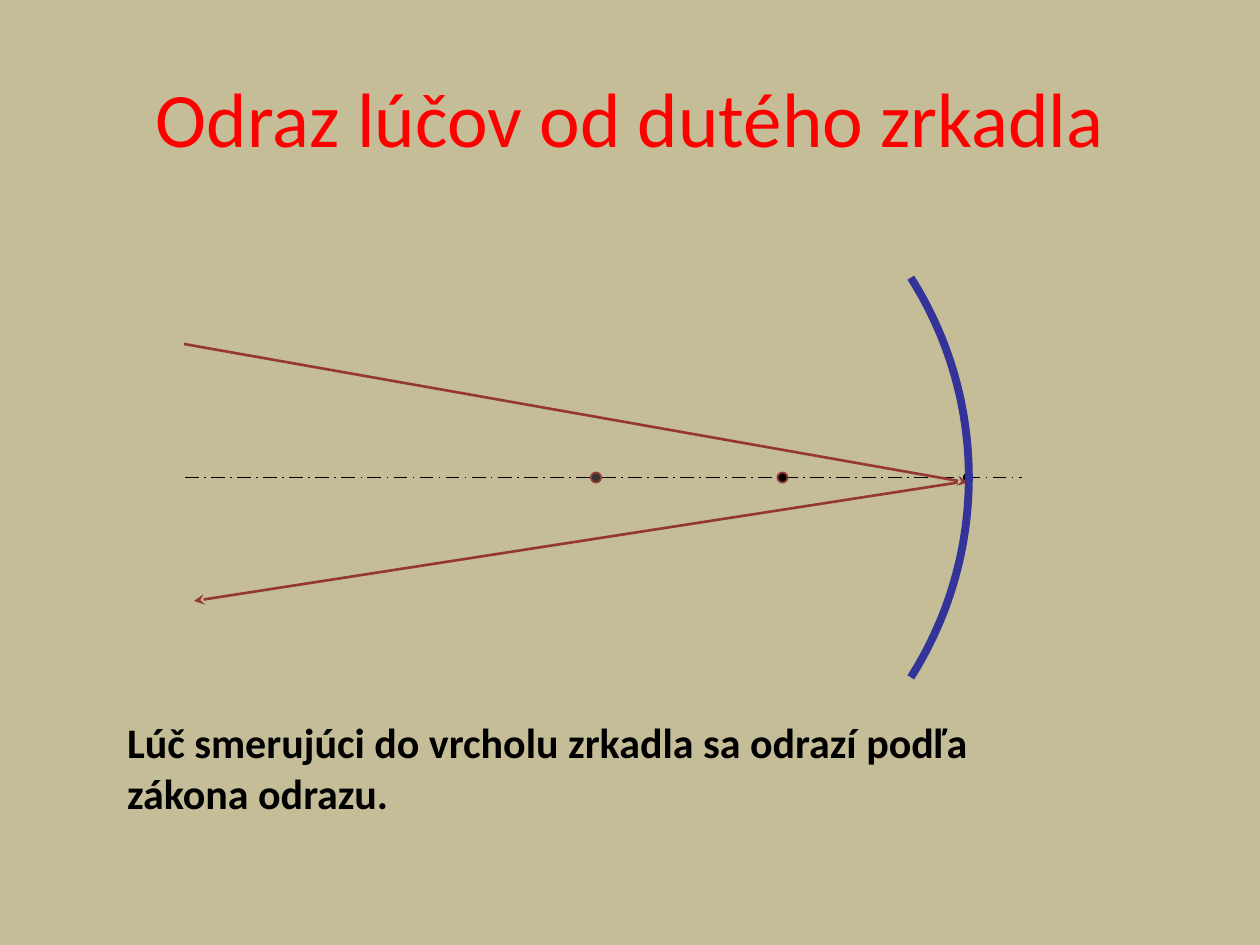
import math
from dataclasses import dataclass
from typing import Optional

import pptx
import pptx.dml.color
import pptx.enum.dml
import pptx.enum.shapes
import pptx.enum.text
import pptx.util
from lxml import etree
from pptx.oxml.ns import qn

Inches = pptx.util.Inches
RGBColor = pptx.dml.color.RGBColor
Anchor = pptx.enum.text.MSO_ANCHOR
Align = pptx.enum.text.PP_ALIGN

SAND = RGBColor(0xC4, 0xBD, 0x97)
RED = RGBColor(0xFF, 0x00, 0x00)
BLACK = RGBColor(0x00, 0x00, 0x00)
CHARCOAL = RGBColor(0x33, 0x33, 0x33)
SILVER = RGBColor(0xC0, 0xC0, 0xC0)
BRICK = RGBColor(0x95, 0x37, 0x35)
BLUE = RGBColor(0x33, 0x33, 0x99)

AXIS_Y = 3.79
CENTRE_X = 4.73
RADIUS = 2.96
HALF_ANGLE = 32.4


@dataclass(frozen=True)
class Ray:
    start: tuple[float, float]
    end: tuple[float, float]


@dataclass(frozen=True)
class Point:
    center_x: float
    size: float
    fill: RGBColor
    outline: RGBColor


RAYS = [Ray((1.46, 2.73), (7.68, 3.83)), Ray((7.6, 3.83), (1.54, 4.77))]
BACK_POINTS = [Point(CENTRE_X, 0.08, CHARCOAL, BRICK), Point(7.68, 0.06, SILVER, BLACK)]
FOCUS = Point(6.21, 0.08, BLACK, BRICK)


def add_text(slide, text: str, left: float, top: float, width: float, height: float, *,
             size: float, color: RGBColor, bold: bool = False,
             align=Align.LEFT, anchor=Anchor.TOP, right_inset: float = 0.1) -> None:
    box = slide.shapes.add_textbox(Inches(left), Inches(top), Inches(width), Inches(height))
    frame = box.text_frame
    frame.word_wrap = True
    frame.vertical_anchor = anchor
    frame.margin_right = Inches(right_inset)
    paragraph = frame.paragraphs[0]
    paragraph.alignment = align
    run = paragraph.add_run()
    run.text = text
    run.font.name = "Calibri"
    run.font.size = pptx.util.Pt(size)
    run.font.bold = bold
    run.font.color.rgb = color


def add_line(slide, ray: Ray, color: RGBColor, width: float,
             dash=None, arrowhead: Optional[str] = None) -> None:
    connector = slide.shapes.add_connector(
        pptx.enum.shapes.MSO_CONNECTOR.STRAIGHT,
        *(Inches(value) for value in ray.start + ray.end))
    connector.line.color.rgb = color
    connector.line.width = pptx.util.Pt(width)
    if dash is not None:
        connector.line.dash_style = dash
    if arrowhead:
        etree.SubElement(connector.line._get_or_add_ln(), qn("a:tailEnd"), type=arrowhead)
    etree.SubElement(connector._element.spPr, qn("a:effectLst"))


def add_point(slide, point: Point) -> None:
    shape = slide.shapes.add_shape(
        pptx.enum.shapes.MSO_SHAPE.OVAL,
        Inches(point.center_x - point.size / 2), Inches(AXIS_Y - point.size / 2),
        Inches(point.size), Inches(point.size))
    shape.shadow.inherit = False
    shape.fill.solid()
    shape.fill.fore_color.rgb = point.fill
    shape.line.color.rgb = point.outline
    shape.line.width = pptx.util.Pt(1)


def add_mirror(slide, steps: int = 60) -> None:
    angles = [math.radians(HALF_ANGLE * (2 * step / steps - 1)) for step in range(steps + 1)]
    points = [(Inches(CENTRE_X + RADIUS * math.cos(angle)),
               Inches(AXIS_Y + RADIUS * math.sin(angle))) for angle in angles]
    builder = slide.shapes.build_freeform(*points[0])
    builder.add_line_segments(points[1:], close=False)
    mirror = builder.convert_to_shape()
    mirror.shadow.inherit = False
    mirror.fill.background()
    mirror.line.color.rgb = BLUE
    mirror.line.width = pptx.util.Pt(4.5)


def main() -> None:
    presentation = pptx.Presentation()
    presentation.slide_width = Inches(10)
    presentation.slide_height = Inches(7.5)
    slide = presentation.slides.add_slide(presentation.slide_layouts[6])
    slide.background.fill.solid()
    slide.background.fill.fore_color.rgb = SAND

    # Title
    add_text(slide, "Odraz lúčov od dutého zrkadla", 0.5, 0.3, 9, 1.25,
             size=44, color=RED, align=Align.CENTER, anchor=Anchor.MIDDLE)

    # Optical axis with the centre of curvature and the vertex
    add_line(slide, Ray((1.47, AXIS_Y), (8.11, AXIS_Y)), BLACK, 1,
             dash=pptx.enum.dml.MSO_LINE.LONG_DASH_DOT)
    for point in BACK_POINTS:
        add_point(slide, point)

    # Incoming and reflected rays, focus and mirror
    for ray in RAYS:
        add_line(slide, ray, BRICK, 1.5, arrowhead="stealth")
    add_point(slide, FOCUS)
    add_mirror(slide)

    # Explanation
    add_text(slide, "Lúč smerujúci do vrcholu zrkadla sa odrazí podľa zákona odrazu.",
             0.91, 5.64, 7.95, 0.91, size=24, color=BLACK, bold=True, right_inset=0.3)

    presentation.save("out.pptx")


if __name__ == "__main__":
    main()
